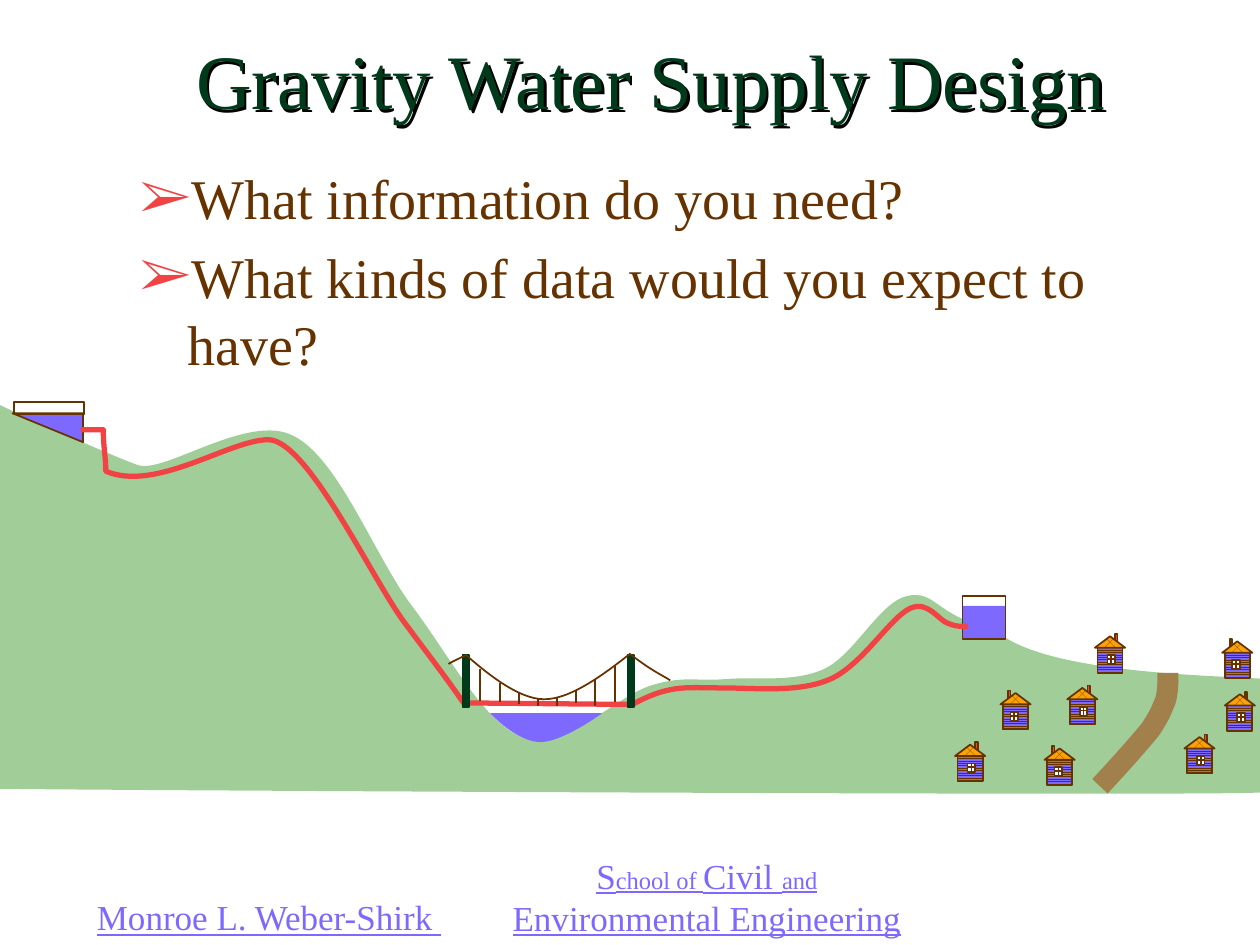
"""Build the gravity water supply design slide."""
from dataclasses import dataclass
from typing import NamedTuple

from lxml import etree
from pptx import Presentation
from pptx.dml.color import RGBColor
from pptx.enum.dml import MSO_PATTERN
from pptx.enum.shapes import MSO_CONNECTOR, MSO_SHAPE
from pptx.enum.text import MSO_ANCHOR, PP_ALIGN
from pptx.oxml.ns import qn
from pptx.util import Inches, Pt

RECTANGLE = MSO_SHAPE.RECTANGLE
TRIANGLE = MSO_SHAPE.ISOSCELES_TRIANGLE
STRAIGHT = MSO_CONNECTOR.STRAIGHT
SIDING = MSO_PATTERN.LIGHT_HORIZONTAL
SHINGLES = MSO_PATTERN.DIAGONAL_BRICK
LEFT, CENTER = PP_ALIGN.LEFT, PP_ALIGN.CENTER
TOP, MIDDLE = MSO_ANCHOR.TOP, MSO_ANCHOR.MIDDLE

GREEN = RGBColor(0x00, 0x3A, 0x1A)
GRASS = RGBColor(0x44, 0x9D, 0x35)
BROWN = RGBColor(0x66, 0x33, 0x00)
ROAD = RGBColor(0xA1, 0x80, 0x4B)
WATER = RGBColor(0x7E, 0x69, 0xFF)
RED = RGBColor(0xF1, 0x43, 0x43)
ORANGE = RGBColor(0xFB, 0xA3, 0x05)
WHITE = RGBColor(0xFF, 0xFF, 0xFF)
BLACK = RGBColor(0x00, 0x00, 0x00)
FONT = "Times New Roman"


class Box(NamedTuple):
    left: float
    top: float
    width: float
    height: float


class Run(NamedTuple):
    text: str
    size: float


@dataclass(frozen=True)
class House:
    left: float
    top: float
    flipped: bool = False


HOUSES = [
    House(9.72, 5.18, True), House(8.49, 5.55), House(8.71, 5.14), House(9.74, 5.6),
    House(8.31, 6.03, True), House(7.96, 5.59, True), House(9.42, 5.94), House(7.6, 6),
]
HANGERS = [
    (3.81, 5.31, 5.56), (3.97, 5.42, 5.57), (4.57, 5.48, 5.58), (4.72, 5.39, 5.6),
    (4.88, 5.28, 5.57), (4.12, 5.49, 5.59), (4.27, 5.55, 5.6), (4.42, 5.53, 5.6),
]
GROUND = [
    (-0.01, 3.21), (0.17, 3.3, 0.87, 3.61, 1.09, 3.69), (1.3, 3.77, 1.97, 3.27, 2.33, 3.46),
    (2.69, 3.64, 2.97, 4.41, 3.27, 4.81), (3.58, 5.22, 3.85, 5.76, 4.17, 5.86),
    (4.48, 5.96, 4.9, 5.52, 5.17, 5.44), (5.43, 5.36, 5.53, 5.41, 5.76, 5.39),
    (5.99, 5.37, 6.3, 5.42, 6.54, 5.31), (6.78, 5.2, 6.98, 4.78, 7.2, 4.73),
    (7.43, 4.68, 7.42, 4.89, 7.9, 5), (8.26, 5.34, 9.57, 5.36, 10.07, 5.39),
    (10.06, 5.76, 10.05, 5.86, 10, 6.29), (9.64, 6.32, 0.32, 6.27, -0.03, 6.26),
    (-0.04, 5.73, -0.01, 3.72, -0.01, 3.21), (-0.01, 2.71, -0.01, 3.21, -0.01, 3.21),
]
PIPE = [
    (0.64, 3.41), (0.67, 3.41, 0.75, 3.41, 0.82, 3.41), (0.82, 3.55, 0.84, 3.63, 0.84, 3.74),
    (1.24, 3.91, 1.82, 3.49, 2.13, 3.49), (2.44, 3.49, 2.95, 4.59, 3.21, 4.94),
    (3.47, 5.29, 3.52, 5.35, 3.68, 5.58), (3.99, 5.58, 4.7, 5.59, 5.02, 5.59),
    (5.32, 5.43, 5.44, 5.46, 5.72, 5.46), (6, 5.46, 6.34, 5.5, 6.59, 5.39),
    (6.84, 5.28, 7.06, 4.91, 7.22, 4.83), (7.37, 4.76, 7.45, 4.93, 7.53, 4.95),
    (7.61, 4.98, 7.65, 4.97, 7.68, 4.97),
]
RIVER = [(3.89, 5.66), (3.98, 5.76, 4.15, 5.89, 4.29, 5.89),
         (4.43, 5.89, 4.67, 5.74, 4.78, 5.66), (4.63, 5.66, 4.02, 5.66, 3.89, 5.66)]
CABLE = [(3.56, 5.27), (3.56, 5.27, 3.57, 5.26, 3.7, 5.2),
         (3.85, 5.33, 4.11, 5.55, 4.32, 5.55), (4.54, 5.55, 4.82, 5.33, 5, 5.19),
         (5.18, 5.33, 5.26, 5.36, 5.32, 5.4)]
ROAD_PATH = [(9.27, 5.34), (9.27, 5.41, 9.27, 5.49, 9.25, 5.56),
             (9.22, 5.63, 9.21, 5.67, 9.13, 5.79), (9.04, 5.9, 8.89, 6.07, 8.73, 6.24)]
RESERVOIR = [(0.1, 3.28), (0.66, 3.51), (0.66, 3.28), (0.1, 3.28)]


def style(shape, fill=None, line=None, width: float = 1, pattern=None) -> None:
    shape.shadow.inherit = False
    if pattern is not None:
        shape.fill.patterned()
        shape.fill.pattern = pattern
        shape.fill.fore_color.rgb = BROWN
        shape.fill.back_color.rgb = fill
    elif fill is not None:
        shape.fill.solid()
        shape.fill.fore_color.rgb = fill
    else:
        shape.fill.background()
    if line is not None:
        shape.line.color.rgb = line
        shape.line.width = Pt(width)
    else:
        shape.line.fill.background()


def add_block(shapes, box: Box, kind=RECTANGLE, **formats) -> None:
    style(shapes.add_shape(kind, *map(Inches, box)), **formats)


def add_outline(shapes, segments: list, close: bool = False, **formats):
    points = [(Inches(segment[i]), Inches(segment[i + 1]))
              for segment in segments for i in range(0, len(segment), 2)]
    builder = shapes.build_freeform(*points[0])
    builder.add_line_segments(points[1:], close=close)
    shape = builder.convert_to_shape()
    steps = iter(list(shape._element.iter(qn("a:lnTo"))))
    for segment in segments[1:]:
        step = next(steps)
        if len(segment) == 6:
            curve = etree.Element(qn("a:cubicBezTo"))
            step.addprevious(curve)
            for control in (step, next(steps), next(steps)):
                curve.append(control[0])
                control.getparent().remove(control)
    style(shape, **formats)
    return shape


def add_line(shapes, x1: float, y1: float, x2: float, y2: float) -> None:
    connector = shapes.add_connector(STRAIGHT, *map(Inches, (x1, y1, x2, y2)))
    connector.line.color.rgb = BROWN
    connector.line.width = Pt(1)
    etree.SubElement(connector._element.spPr, qn("a:effectLst"))


def add_text(slide, box: Box, paragraphs: list, color=WATER, align=LEFT, anchor=TOP,
             underline: bool = False, bullet: str = "", shadow: bool = False) -> None:
    shape = slide.shapes.add_textbox(*map(Inches, box))
    if shadow:
        effects = etree.SubElement(shape._element.spPr, qn("a:effectLst"))
        cast = etree.SubElement(effects, qn("a:outerShdw"), dist="25400", dir="2700000")
        etree.SubElement(cast, qn("a:srgbClr"), val=str(BLACK))
    frame = shape.text_frame
    frame.word_wrap = True
    frame.vertical_anchor = anchor
    for index, runs in enumerate(paragraphs):
        paragraph = frame.add_paragraph() if index else frame.paragraphs[0]
        paragraph.alignment = align
        if bullet:
            paragraph.space_before = Pt(runs[0].size * 0.2)
            properties = paragraph._p.get_or_add_pPr()
            properties.set("marL", str(Inches(0.38)))
            properties.set("indent", str(-Inches(0.38)))
            bullet_color = etree.SubElement(properties, qn("a:buClr"))
            etree.SubElement(bullet_color, qn("a:srgbClr"), val=str(RED))
            etree.SubElement(properties, qn("a:buFont"), typeface=FONT)
            etree.SubElement(properties, qn("a:buChar"), char=bullet)
        for text, size in runs:
            run = paragraph.add_run()
            run.text = text
            run.font.name, run.font.size = FONT, Pt(size)
            run.font.color.rgb = color
            run.font.underline = underline or None


def add_house(slide, house: House) -> None:
    shapes = slide.shapes.add_group_shape().shapes

    def place(x: float, y: float, width: float, height: float) -> Box:
        offset = 0.2 - x - width if house.flipped else x
        return Box(house.left + offset, house.top + y, width, height)

    add_block(shapes, place(0.14, -0.11, 0.02, 0.09), fill=RED, line=BROWN)
    add_block(shapes, place(0, 0, 0.2, 0.2), fill=WATER, line=BROWN, pattern=SIDING)
    add_block(shapes, place(-0.02, -0.09, 0.24, 0.09), TRIANGLE,
              fill=ORANGE, line=BROWN, pattern=SHINGLES)
    window = place(0.08, 0.06, 0.06, 0.07)
    add_block(shapes, window, fill=WHITE, line=BROWN)
    middle_x, middle_y = window.left + 0.03, window.top + 0.03
    add_line(shapes, middle_x, window.top, middle_x, window.top + window.height)
    add_line(shapes, window.left, middle_y, window.left + window.width, middle_y)


def add_bridge(slide) -> None:
    shapes = slide.shapes.add_group_shape().shapes
    for x, top, bottom in HANGERS:
        add_line(shapes, x, top, x, bottom)
    add_outline(shapes, RIVER, close=True, fill=WATER)
    for left in (4.98, 3.67):
        add_block(shapes, Box(left, 5.2, 0.05, 0.41), fill=GREEN, line=GREEN)
    add_outline(shapes, CABLE, line=BROWN)


def main() -> None:
    presentation = Presentation()
    presentation.slide_width, presentation.slide_height = Inches(10), Inches(7.5)
    slide = presentation.slides.add_slide(presentation.slide_layouts[6])
    add_text(slide, Box(0.67, 7.06, 3.58, 0.42), [[Run("Monroe L. Weber-Shirk ", 20)]],
             underline=True)
    add_text(slide, Box(3.9, 6.73, 3.42, 0.77),
             [[Run("S", 20), Run("chool of ", 14), Run("Civil ", 20), Run("and", 14),
               Run(" Environmental Engineering", 20)]], align=CENTER, underline=True)
    add_text(slide, Box(0.92, 0, 8.5, 1.25), [[Run("Gravity Water Supply Design", 44)]],
             color=GREEN, align=CENTER, anchor=MIDDLE, shadow=True)
    ground = add_outline(slide.shapes, GROUND, close=True, fill=GRASS)
    ground_color = ground._element.spPr.find(qn("a:solidFill"))[0]
    etree.SubElement(ground_color, qn("a:alpha"), val="50000")
    tank = slide.shapes.add_group_shape().shapes
    add_block(tank, Box(7.64, 4.81, 0.34, 0.26), fill=WATER)
    add_block(tank, Box(7.64, 4.73, 0.34, 0.34), line=BROWN)
    reservoir = slide.shapes.add_group_shape().shapes
    add_outline(reservoir, RESERVOIR, close=True, fill=WATER, line=BROWN)
    add_block(reservoir, Box(0.11, 3.19, 0.56, 0.1), line=BROWN)
    add_outline(slide.shapes, PIPE, line=RED, width=3)
    add_bridge(slide)
    add_outline(slide.shapes, ROAD_PATH, line=ROAD, width=12)
    for house in HOUSES:
        add_house(slide, house)
    add_text(slide, Box(1.01, 1.25, 8.5, 4.5),
             [[Run("What information do you need?", 32)],
              [Run("What kinds of data would you expect to have?", 32)]],
             color=BROWN, bullet="\u27a2")
    presentation.save("out.pptx")


main()
